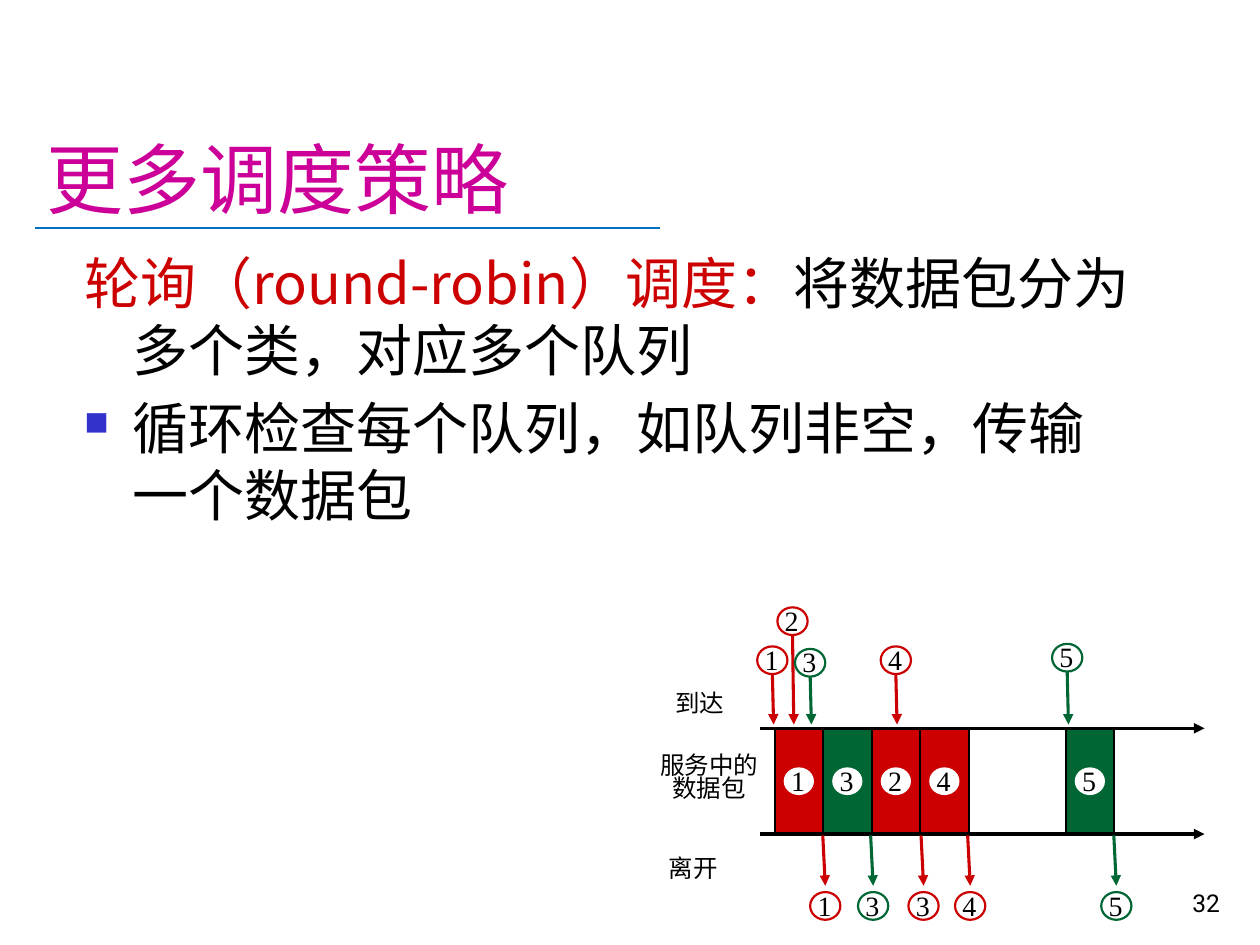
from lxml import etree
from pptx import Presentation
from pptx import util as u
from pptx.dml.color import RGBColor
from pptx.enum import shapes, text
from pptx.oxml.ns import qn

RED, GREEN, BLACK, WHITE = "CC0000", "006633", "000000", "FFFFFF"
SERIF, SANS, CJK = "Times New Roman", "Roboto", "Noto Sans CJK SC"
BOX_W, BOX_H = 0.385, 0.83
DISC_W, DISC_H = 0.24, 0.22


def rgb(code):
    return RGBColor.from_string(code)


def sub(parent, tag, **attrs):
    return etree.SubElement(parent, qn(tag), attrs)


def add_run(para, words, size, font, color):
    run = para.add_run()
    run.text = words
    run.font.size = u.Pt(size)
    run.font.name = font
    run.font.color.rgb = rgb(color)


def write(box, words, size=14, font=SERIF, color=BLACK, align=None,
          anchor=text.MSO_ANCHOR.TOP, wrap=True, lead=None):
    frame = box.text_frame
    frame.word_wrap = wrap
    frame.vertical_anchor = anchor
    para = frame.paragraphs[0]
    para.alignment = align
    if lead:
        para.line_spacing = u.Pt(lead)
    add_run(para, words, size, font, color)


def add_text(slide, x, y, w, h, words, **form):
    box = slide.shapes.add_textbox(*map(u.Inches, (x, y, w, h)))
    write(box, words, **form)


def add_line(slide, x1, y1, x2, y2, color, width, arrow=True):
    line = slide.shapes.add_connector(
        shapes.MSO_CONNECTOR.STRAIGHT, *map(u.Inches, (x1, y1, x2, y2)))
    line.line.color.rgb = rgb(color)
    line.line.width = u.Pt(width)
    if arrow:
        sub(line.line._get_or_add_ln(), "a:tailEnd", type="triangle")
    sub(line._element.spPr, "a:effectLst")


def add_form(slide, kind, x, y, w, h, fill, edge=None):
    form = slide.shapes.add_shape(kind, *map(u.Inches, (x, y, w, h)))
    form.shadow.inherit = False
    form.fill.solid()
    form.fill.fore_color.rgb = rgb(fill)
    if edge:
        form.line.color.rgb = rgb(edge)
        form.line.width = u.Pt(1.25)
    else:
        form.line.fill.background()


def add_disc(slide, x, y, label, edge=None):
    add_form(slide, shapes.MSO_SHAPE.OVAL, x, y, DISC_W, DISC_H, WHITE, edge)
    add_text(slide, x - 0.04, y - 0.08, 0.33, 0.37, label,
             size=16, wrap=False)


def add_packet(slide, x, label, color):
    add_form(slide, shapes.MSO_SHAPE.RECTANGLE, x, 5.78, BOX_W, BOX_H,
             color, BLACK)
    add_disc(slide, x + 0.07, 6.09, label)


def add_body(slide):
    box = slide.shapes.add_textbox(*map(u.Inches, (0.57, 1.92, 8.5, 0.83)))
    frame = box.text_frame
    frame.word_wrap = True
    first, second = frame.paragraphs[0], frame.add_paragraph()
    for para in (first, second):
        props = para._p.get_or_add_pPr()
        props.set("marL", str(u.Inches(0.38)))
        props.set("indent", str(u.Inches(-0.38)))
    # Square bullet on the second paragraph
    props = second._p.get_or_add_pPr()
    sub(sub(props, "a:buClr"), "a:srgbClr", val="3333CC")
    sub(props, "a:buSzPct", val="60000")
    sub(props, "a:buChar", char="■")
    second.space_before = u.Pt(6.4)
    add_run(first, "轮询（round-robin）调度：", 32, CJK, RED)
    add_run(first, "将数据包分为多个类，对应多个队列", 32, CJK, BLACK)
    add_run(second, "循环检查每个队列，如队列非空，传输一个数据包", 32, CJK, BLACK)


def add_chart(slide):
    # Packets in service, one slot each
    slots = [(0, "1", RED), (1, "3", GREEN), (2, "2", RED),
             (3, "4", RED), (6, "5", GREEN)]
    for slot, label, color in slots:
        add_packet(slide, 6.15 + slot * BOX_W, label, color)
    # Time axes
    for y in (5.78, 6.62):
        add_line(slide, 6.03, y, 9.56, y, BLACK, 2)
    # Arrivals: disc place, then arrow down to the upper axis
    arrivals = [(6.17, 4.82, "2", RED), (6.01, 5.13, "1", RED),
                (6.31, 5.15, "3", GREEN), (6.99, 5.13, "4", RED),
                (8.35, 5.11, "5", GREEN)]
    for x, y, label, color in arrivals:
        add_line(slide, x + 0.12, y + DISC_H, x + 0.13, 5.75, color, 1.75)
        add_disc(slide, x, y, label, color)
    # Departures: arrow down from the lower axis, then disc
    leaves = [(6.43, "1", RED), (6.81, "3", GREEN), (7.21, "3", RED),
              (7.58, "4", RED), (8.74, "5", GREEN)]
    for x, label, color in leaves:
        add_line(slide, x + 0.1, 6.63, x + 0.12, 7.03, color, 1.75)
        add_disc(slide, x, 7.08, label, color)
    # Row labels
    add_text(slide, 5.26, 5.41, 0.59, 0.34, "到达", wrap=False)
    add_text(slide, 5.21, 6.72, 0.59, 0.34, "离开", wrap=False)
    add_text(slide, 5.08, 5.96, 1.1, 0.47, "服务中的数据包",
             align=text.PP_ALIGN.CENTER, lead=12.8)


def main():
    deck = Presentation()
    deck.slide_width, deck.slide_height = u.Inches(10), u.Inches(7.5)
    slide = deck.slides.add_slide(deck.slide_layouts[5])

    # Title with its rule, and page number
    title = slide.shapes.title
    title.left, title.top = u.Inches(0.27), u.Inches(0.23)
    title.width, title.height = u.Inches(9.51), u.Inches(1.6)
    write(title, "更多调度策略", size=44, font=SANS, color="CC0099",
          align=text.PP_ALIGN.LEFT, anchor=text.MSO_ANCHOR.BOTTOM)
    add_line(slide, 0.28, 1.81, 5.24, 1.81, "0070C0", 1.25, arrow=False)
    add_text(slide, 7.7, 6.83, 2.08, 0.5, "32", font=SANS,
             align=text.PP_ALIGN.RIGHT, anchor=text.MSO_ANCHOR.BOTTOM)

    add_body(slide)
    add_chart(slide)
    deck.save("out.pptx")


if __name__ == "__main__":
    main()
